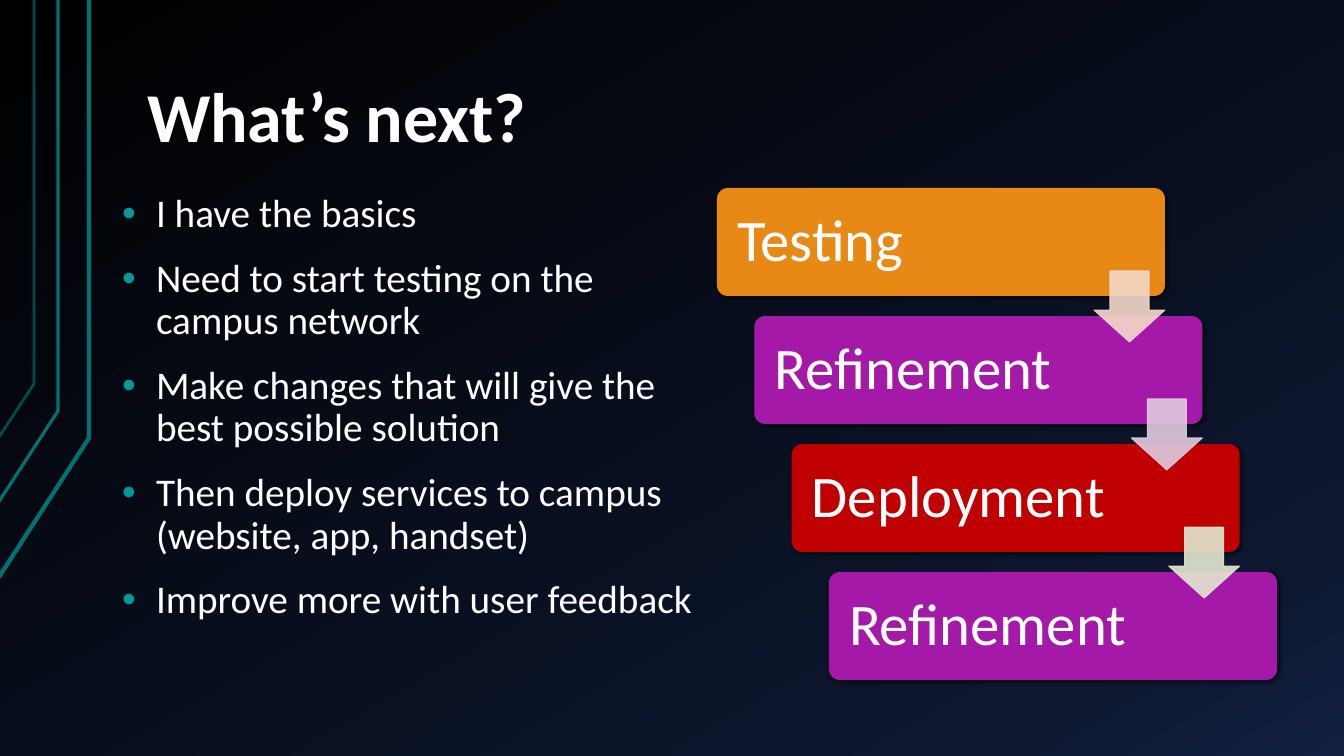
from lxml import etree
from pptx import Presentation
from pptx.dml.color import RGBColor
from pptx.enum.shapes import MSO_SHAPE
from pptx.enum.text import MSO_ANCHOR
from pptx.oxml.ns import qn
from pptx.util import Pt

ROUNDED, DOWN_ARROW = MSO_SHAPE.ROUNDED_RECTANGLE, MSO_SHAPE.DOWN_ARROW
TOP, MIDDLE, BOTTOM = MSO_ANCHOR.TOP, MSO_ANCHOR.MIDDLE, MSO_ANCHOR.BOTTOM

SLIDE_W, SLIDE_H = 1344, 756
EMU_PER_PX = 12192000 / SLIDE_W
FONT = "Calibri"
COLORS = {
    "night": "000000", "navy": "0D172F", "blue": "122041",
    "text": "FFFFFF", "bullet": "009999", "shadow": "000000",
    "teal": "007272", "dark_teal": "004C4C",
    "orange": "E98915", "purple": "A419A7", "red": "C00000",
    "peach": "F5D9C9", "lilac": "E0CBE1", "sage": "E3E9CF",
}

BACKGROUND = [("night", 0), ("navy", 85), ("blue", 100)]
# Color, weight in points, corner points in px
TRACES = [
    ("teal", 3, [(-1, 577), (89, 438), (89, 0)]),
    ("teal", 2.25, [(-2, 503), (58, 411), (58, 0)]),
    ("dark_teal", 2, [(-1, 437), (34, 384), (34, 0)]),
]
PLANS = [
    "I have the basics",
    "Need to start testing on the campus network",
    "Make changes that will give the best possible solution",
    "Then deploy services to campus (website, app, handset)",
    "Improve more with user feedback",
]
# Label, bar color, color of the arrow to the next step
STEPS = [
    ("Testing", "orange", "peach"),
    ("Refinement", "purple", "lilac"),
    ("Deployment", "red", "sage"),
    ("Refinement", "purple", None),
]


def px(length):
    return round(length * EMU_PER_PX)


def rgb(name):
    return RGBColor.from_string(COLORS[name])


def add_color(parent, name, alpha=None):
    color = etree.SubElement(parent, qn("a:srgbClr"), val=COLORS[name])
    if alpha is not None:
        etree.SubElement(color, qn("a:alpha"), val=str(alpha * 1000))


def write_text(shape, paragraphs, size, bold=False, anchor=TOP,
               insets=(13, 7), space_before=0, bullet_indent=0):
    frame = shape.text_frame
    frame.word_wrap = True
    frame.vertical_anchor = anchor
    frame.margin_left = frame.margin_right = px(insets[0])
    frame.margin_top = frame.margin_bottom = px(insets[1])
    for index, text in enumerate(paragraphs):
        paragraph = frame.add_paragraph() if index else frame.paragraphs[0]
        paragraph.line_spacing = 0.9
        paragraph.space_before = Pt(space_before if index else 0)
        run = paragraph.add_run()
        run.text = text
        run.font.name, run.font.size, run.font.bold = FONT, Pt(size), bold
        run.font.color.rgb = rgb("text")
        props = paragraph._p.get_or_add_pPr()
        props.set("algn", "l")
        if bullet_indent:
            props.set("marL", str(px(bullet_indent)))
            props.set("indent", str(-px(bullet_indent)))
            add_color(etree.SubElement(props, qn("a:buClr")), "bullet")
            etree.SubElement(props, qn("a:buFont"), typeface="Arial")
            etree.SubElement(props, qn("a:buChar"), char="•")


def paint_background(slide):
    fill = slide.background.fill
    fill.gradient()
    fill.gradient_angle = 300
    stops = next(slide.element.iter(qn("a:gsLst")))
    for stop in list(stops):
        stops.remove(stop)
    for name, position in BACKGROUND:
        add_color(etree.SubElement(stops, qn("a:gs"), pos=str(position * 1000)), name)


def draw_traces(slide):
    for color, weight, points in TRACES:
        start, *rest = [(px(x), px(y)) for x, y in points]
        builder = slide.shapes.build_freeform(*start)
        builder.add_line_segments(rest, close=False)
        trace = builder.convert_to_shape()
        trace.shadow.inherit = False
        trace.fill.background()
        trace.line.color.rgb = rgb(color)
        trace.line.width = Pt(weight)


def add_title(slide, left, top, width, height):
    title = slide.shapes.add_textbox(px(left), px(top), px(width), px(height))
    write_text(title, ["What’s next?"], 50, bold=True, anchor=BOTTOM)


def add_plans(slide, left, top, width, height):
    body = slide.shapes.add_textbox(px(left), px(top), px(width), px(height))
    write_text(body, PLANS, 28, space_before=16, bullet_indent=34)


def add_bar(slide, left, top, width, height, label, color):
    bar = slide.shapes.add_shape(ROUNDED, px(left), px(top), px(width), px(height))
    bar.adjustments[0] = 0.1
    bar.fill.solid()
    bar.fill.fore_color.rgb = rgb(color)
    bar.line.fill.background()
    bar.shadow.inherit = False
    effects = bar._element.spPr.find(qn("a:effectLst"))
    shadow = etree.SubElement(
        effects, qn("a:outerShdw"), blurRad=str(Pt(3)), dist=str(Pt(2)),
        dir=str(45 * 60000), algn="ctr", rotWithShape="0")
    add_color(shadow, "shadow", 60)
    write_text(bar, [label], 42, anchor=MIDDLE, insets=(17, 17))


def add_arrow(slide, left, top, size, color):
    arrow = slide.shapes.add_shape(DOWN_ARROW, px(left), px(top), px(size), px(size))
    arrow.adjustments[0], arrow.adjustments[1] = 0.55, 0.45
    arrow.shadow.inherit = False
    arrow.fill.solid()
    arrow.fill.fore_color.rgb = arrow.line.color.rgb = rgb(color)
    arrow.line.width = Pt(0.75)
    for tint in arrow._element.spPr.iter(qn("a:srgbClr")):
        etree.SubElement(tint, qn("a:alpha"), val="90000")


def add_staircase(slide, left, top, width, height):
    bar_w, bar_h, arrow_size, arrow_drop = 448, 108, 71, 83
    shift = (width - bar_w) / (len(STEPS) - 1)
    drop = (height - bar_h) / (len(STEPS) - 1)
    for index, (label, color, _) in enumerate(STEPS):
        add_bar(slide, left + index * shift, top + index * drop, bar_w, bar_h, label, color)
    # Arrows lie over the bars, flush with each bar's right edge
    for index, (_, _, color) in enumerate(STEPS[:-1]):
        add_arrow(slide, left + index * shift + bar_w - arrow_size,
                  top + index * drop + arrow_drop, arrow_size, color)


def main():
    deck = Presentation()
    deck.slide_width, deck.slide_height = px(SLIDE_W), px(SLIDE_H)
    slide = deck.slides.add_slide(deck.slide_layouts[6])
    paint_background(slide)
    draw_traces(slide)
    add_title(slide, 134, 30, 1142, 135)
    add_plans(slide, 109, 187, 613, 492)
    add_staircase(slide, 717, 188, 560, 492)
    deck.save("out.pptx")


if __name__ == "__main__":
    main()
